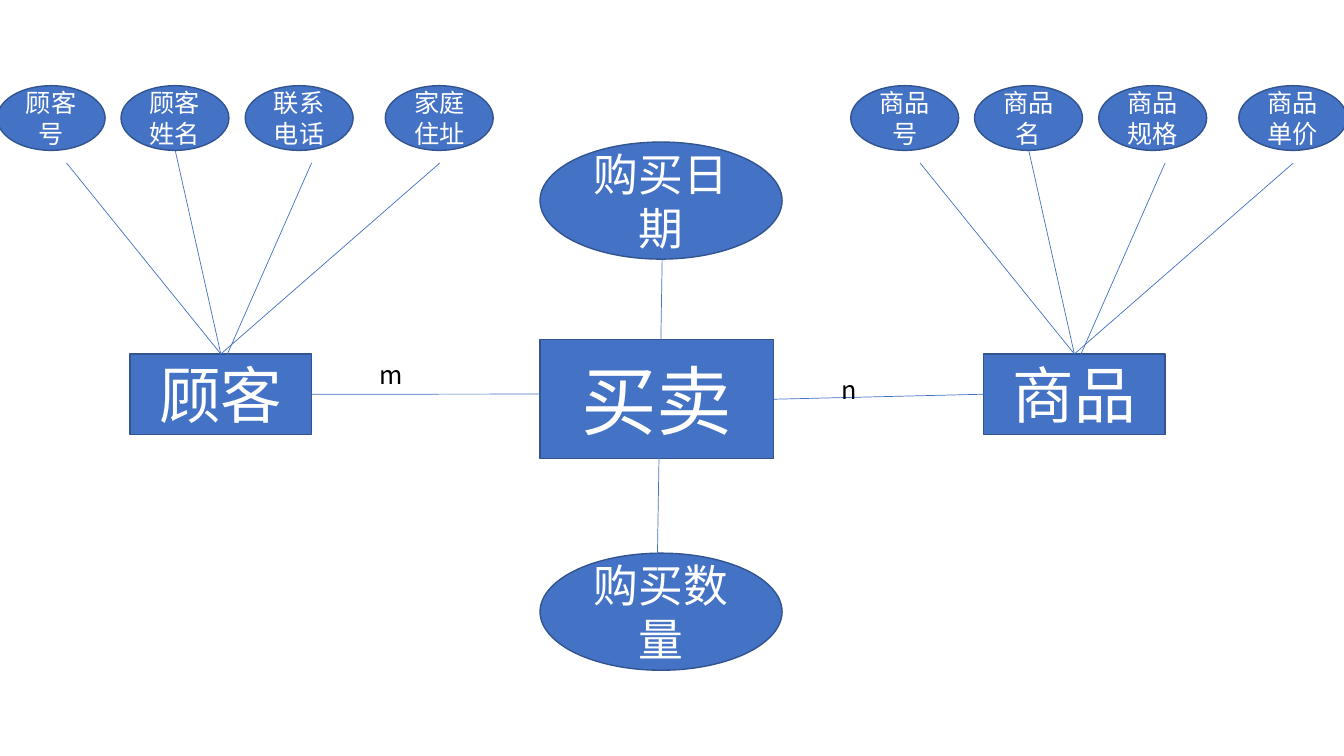
from lxml import etree
from pptx import Presentation
from pptx.dml.color import RGBColor
from pptx.enum.shapes import MSO_CONNECTOR, MSO_SHAPE as Kind
from pptx.enum.text import MSO_ANCHOR, MSO_AUTO_SIZE, PP_ALIGN
from pptx.oxml.ns import qn
from pptx.util import Cm, Pt

FONT = "Noto Sans CJK SC"
BLUE, EDGE, WHITE, BLACK = "4472C4", "325491", "FFFFFF", "000000"

# Entity name, left edge, attributes
ENTITIES = [
    ("顾客", 3.28, ["顾客号", "顾客姓名", "联系电话", "家庭住址"]),
    ("商品", 24.79, ["商品号", "商品名", "商品规格", "商品单价"]),
]
ENTITY_TOP, ENTITY_W, ENTITY_H = 8.92, 4.57, 2.03
ATTR_TOP, ATTR_W, ATTR_H = 2.16, 2.72, 1.63
# Measured from the entity's left edge: oval left, line start x, line start y
SPOKES = [(-3.35, -1.6, 4.11), (-0.23, 1.14, 3.81),
          (2.9, 4.57, 4.11), (6.43, 7.8, 4.11)]
DEEP = 2  # this spoke runs on into the entity
DEEP_END = 9.3

DEAL = ("买卖", 13.61, 8.56, 5.89, 3.0)
DEAL_ATTRS = [("购买日期", 3.58), ("购买数量", 13.94)]
DEAL_W, DEAL_H = 6.1, 2.95
AXIS = (16.69, 6.35, 16.56, 14.5)
LEFT_JOIN = 9.93
LABELS = [("m", 9.32, 8.92, 1.09), ("n", 20.96, 9.3, 0.84)]
LABEL_H = 1.02

deck = Presentation()
deck.slide_width, deck.slide_height = Cm(33.87), Cm(19.05)
slide = deck.slides.add_slide(deck.slide_layouts[6])


def paint(color, value):
    color.rgb = RGBColor.from_string(value)


def write(frame, text, size, color):
    para = frame.paragraphs[0]
    para.text = text
    para.font.size = Pt(size)
    para.font.name = FONT
    paint(para.font.color, color)
    props = para._p.get_or_add_pPr().get_or_add_defRPr()
    etree.SubElement(props, qn("a:ea")).set("typeface", FONT)
    return para


def node(kind, text, x, y, w, h, size):
    """Add a filled box or oval with centred text."""
    shape = slide.shapes.add_shape(kind, Cm(x), Cm(y), Cm(w), Cm(h))
    shape.shadow.inherit = False
    shape.fill.solid()
    paint(shape.fill.fore_color, BLUE)
    paint(shape.line.color, EDGE)
    shape.line.width = Pt(1)
    frame = shape.text_frame
    frame.word_wrap = True
    frame.vertical_anchor = MSO_ANCHOR.MIDDLE
    write(frame, text, size, WHITE).alignment = PP_ALIGN.CENTER
    return shape


def link(x1, y1, x2, y2):
    line = slide.shapes.add_connector(
        MSO_CONNECTOR.STRAIGHT, Cm(x1), Cm(y1), Cm(x2), Cm(y2))
    paint(line.line.color, BLUE)
    line.line.width = Pt(0.5)
    etree.SubElement(line._element.spPr, qn("a:effectLst"))
    return line


boxes = []
for name, left, attrs in ENTITIES:
    box = node(Kind.RECTANGLE, name, left, ENTITY_TOP, ENTITY_W, ENTITY_H, 44)
    boxes.append(box)
    for attr, (dx, _, _) in zip(attrs, SPOKES):
        node(Kind.OVAL, attr, left + dx, ATTR_TOP, ATTR_W, ATTR_H, 18)
    for i, (_, dx, y) in enumerate(SPOKES):
        end = DEEP_END if i == DEEP else ENTITY_TOP
        line = link(left + dx, y, left + ENTITY_W / 2, end)
        if i != DEEP:
            line.end_connect(box, 0)

buyer, goods = boxes
name, deal_x, deal_y, deal_w, deal_h = DEAL
deal = node(Kind.RECTANGLE, name, deal_x, deal_y, deal_w, deal_h, 54)
for attr, y in DEAL_ATTRS:
    node(Kind.OVAL, attr, deal_x, y, DEAL_W, DEAL_H, 32)
link(*AXIS)

middle = ENTITY_TOP + ENTITY_H / 2
buyer_x, goods_x = (left for _, left, _ in ENTITIES)
line = link(buyer_x + ENTITY_W, middle, deal_x, LEFT_JOIN)
line.begin_connect(buyer, 3)
line = link(deal_x + deal_w, deal_y + deal_h / 2, goods_x, middle)
line.begin_connect(deal, 3)
line.end_connect(goods, 1)

for text, x, y, w in LABELS:
    label = slide.shapes.add_textbox(Cm(x), Cm(y), Cm(w), Cm(LABEL_H))
    label.text_frame.word_wrap = True
    label.text_frame.auto_size = MSO_AUTO_SIZE.SHAPE_TO_FIT_TEXT
    write(label.text_frame, text, 18, BLACK)

deck.save("out.pptx")
